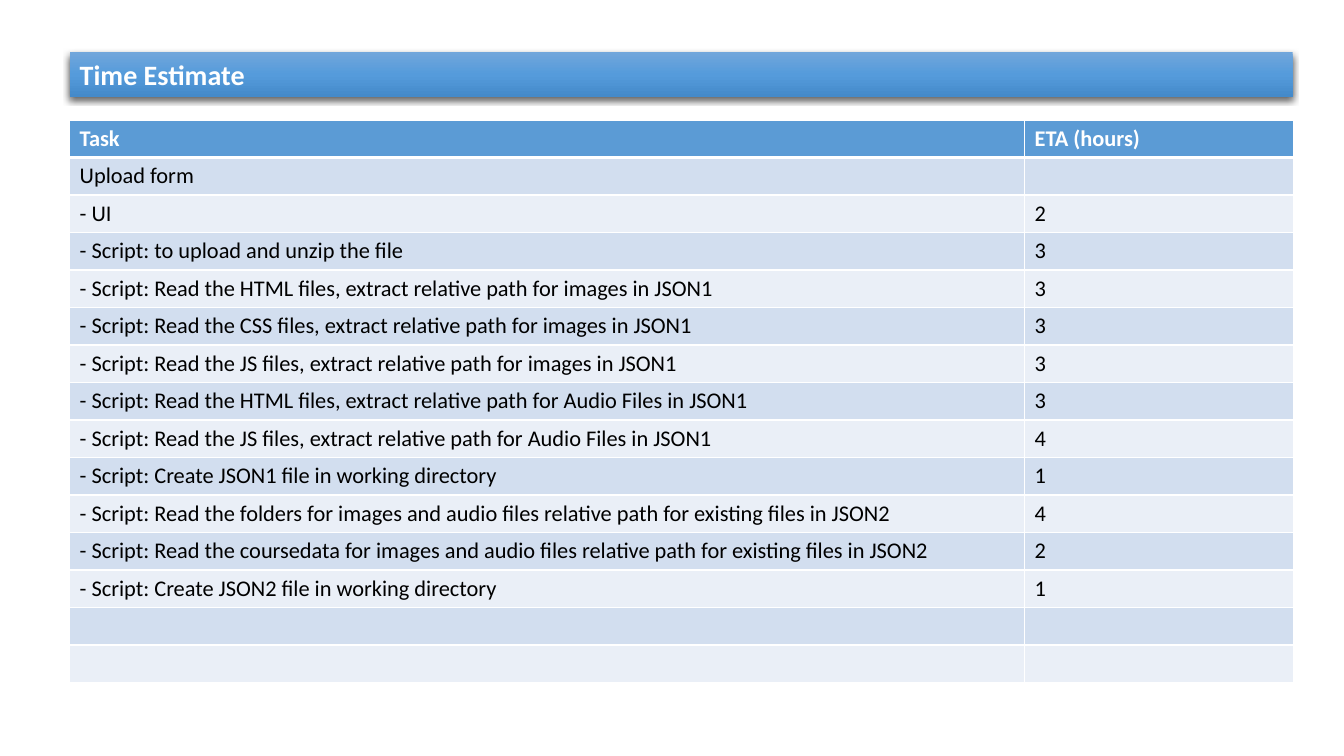
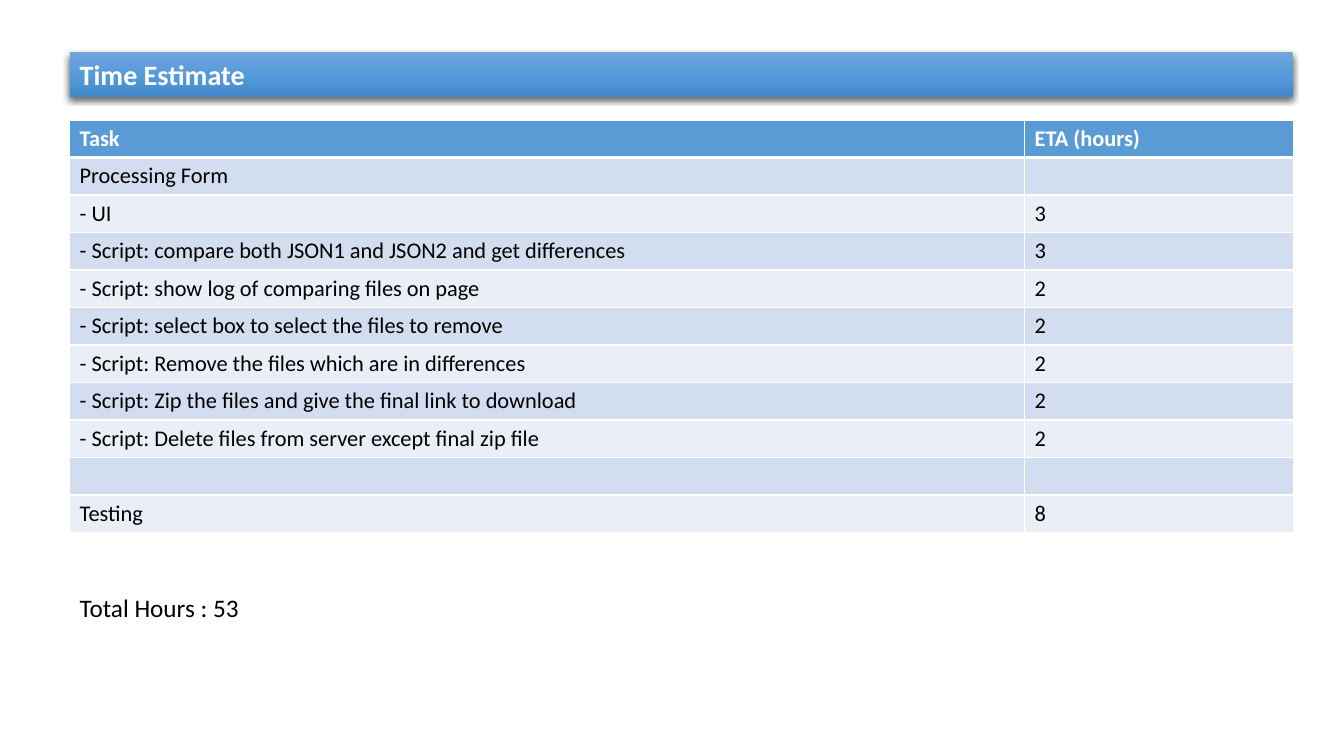
from lxml.etree import SubElement as Sub
from pptx import Presentation as Deck
from pptx.dml.color import RGBColor as RGB
from pptx.enum.text import MSO_ANCHOR as Anchor, MSO_AUTO_SIZE as Auto, PP_ALIGN as Align
from pptx.oxml import parse_xml as to_xml
from pptx.oxml.ns import nsdecls, qn
from pptx.util import Inches, Pt

WIDE, HIGH = Inches(13.33), Inches(7.5)
FONT = "Calibri"
WHITE, BLACK, HEAD = "FFFFFF", "000000", "5B9BD5"
BANDS = ["D2DEEF", "EAEFF7"]
GRADE = [(0, "71A6DB"), (50, "559BDB"), (100, "448ACA")]
LEFT = 5.18
BAR = (LEFT, 6.93, 91, 5.87)
GRID = (LEFT, 15.87, 91.1, 4.96)
NOTE = (LEFT, 77.73, 37.6, 5.33)
SPLIT = (0.78, 0.22)

UPLOAD = [
    ("Upload form", ""),
    ("- UI", "2"),
    ("- Script: to upload and unzip the file", "3"),
    ("- Script: Read the HTML files, extract relative path for images in JSON1", "3"),
    ("- Script: Read the CSS files, extract relative path for images in JSON1", "3"),
    ("- Script: Read the JS files, extract relative path for images in JSON1", "3"),
    ("- Script: Read the HTML files, extract relative path for Audio Files in JSON1", "3"),
    ("- Script: Read the JS files, extract relative path for Audio Files in JSON1", "4"),
    ("- Script: Create JSON1 file in working directory", "1"),
    ("- Script: Read the folders for images and audio files relative path for existing files in JSON2", "4"),
    ("- Script: Read the coursedata for images and audio files relative path for existing files in JSON2", "2"),
    ("- Script: Create JSON2 file in working directory", "1"),
    ("", ""),
    ("", ""),
]
PROCESS = [
    ("Processing Form", ""),
    ("- UI", "3"),
    ("- Script: compare both JSON1 and JSON2 and get differences", "3"),
    ("- Script: show log of comparing files on page", "2"),
    ("- Script: select box to select the files to remove", "2"),
    ("- Script: Remove the files which are in differences", "2"),
    ("- Script: Zip the files and give the final link to download", "2"),
    ("- Script: Delete files from server except final zip file", "2"),
    ("", ""),
    ("Testing", "8"),
]


def color(code):
    return RGB.from_string(code)


def across(cols):
    return round(WIDE * cols / 100)


def down(rows):
    return round(HIGH * rows / 100)


def place(box):
    x, y, w, h = box
    return across(x), down(y), across(w), down(h)


def write(para, text, size, code, bold=False):
    run = para.add_run()
    run.text = text
    font = run.font
    font.name, font.size, font.bold = FONT, Pt(size), bold
    font.color.rgb = color(code)


def style_bar(shape):
    stops = "".join(
        f'<a:gs pos="{at * 1000}"><a:srgbClr val="{code}"/></a:gs>' for at, code in GRADE)
    space = nsdecls("a")
    for part in (
        f'<a:prstGeom {space} prst="rect"><a:avLst/></a:prstGeom>',
        f'<a:gradFill {space} rotWithShape="1"><a:gsLst>{stops}</a:gsLst>'
        '<a:lin ang="5400000" scaled="0"/></a:gradFill>',
        f'<a:effectLst {space}><a:outerShdw blurRad="{Pt(4.5)}" dist="{Pt(1.5)}" '
        f'dir="5400000" algn="ctr" rotWithShape="0"><a:srgbClr val="{BLACK}">'
        '<a:alpha val="63000"/></a:srgbClr></a:outerShdw></a:effectLst>',
    ):
        shape._element.spPr.append(to_xml(part))


def add_title(slide, text, box):
    bar = slide.shapes.title
    bar.left, bar.top, bar.width, bar.height = place(box)
    style_bar(bar)
    frame = bar.text_frame
    frame.auto_size = Auto.NONE
    frame.vertical_anchor = Anchor.MIDDLE
    para = frame.paragraphs[0]
    para.alignment = Align.LEFT
    write(para, text, 20, WHITE, True)


def edge(cell, row):
    props = cell._tc.get_or_add_tcPr()
    wide = {"lnT": 3 if row == 1 else 1, "lnB": 3 if row == 0 else 1}
    for side in ("lnL", "lnR", "lnT", "lnB"):
        line = Sub(props, qn("a:" + side), w=str(Pt(wide.get(side, 1))))
        Sub(Sub(line, qn("a:solidFill")), qn("a:srgbClr"), val=WHITE)


def fill_cell(cell, row, text):
    first = row == 0
    edge(cell, row)
    cell.fill.solid()
    cell.fill.fore_color.rgb = color(HEAD if first else BANDS[(row - 1) % 2])
    para = cell.text_frame.paragraphs[0]
    if text:
        write(para, text, 16, WHITE if first else BLACK, first)
    else:
        Sub(para._p, qn("a:endParaRPr"), sz="1600")


def add_tasks(slide, tasks, box):
    x, y, w, step = box
    rows = [("Task", "ETA (hours)")] + tasks
    area = place((x, y, w, step * len(rows)))
    table = slide.shapes.add_table(len(rows), len(SPLIT), *area).table
    for col, share in zip(table.columns, SPLIT):
        col.width = across(w * share)
    for r, texts in enumerate(rows):
        table.rows[r].height = down(step)
        for c, text in enumerate(texts):
            fill_cell(table.cell(r, c), r, text)


def add_note(slide, text, box):
    frame = slide.shapes.add_textbox(*place(box)).text_frame
    frame.word_wrap = True
    write(frame.paragraphs[0], text, 18, BLACK)


def add_plan(deck, tasks, total=None):
    slide = deck.slides.add_slide(deck.slide_layouts[5])
    add_title(slide, "Time Estimate", BAR)
    add_tasks(slide, tasks, GRID)
    if total:
        add_note(slide, total, NOTE)


def main():
    deck = Deck()
    deck.slide_width, deck.slide_height = WIDE, HIGH
    add_plan(deck, UPLOAD)
    add_plan(deck, PROCESS, "Total Hours : 53")
    deck.save("out.pptx")


if __name__ == "__main__":
    main()
